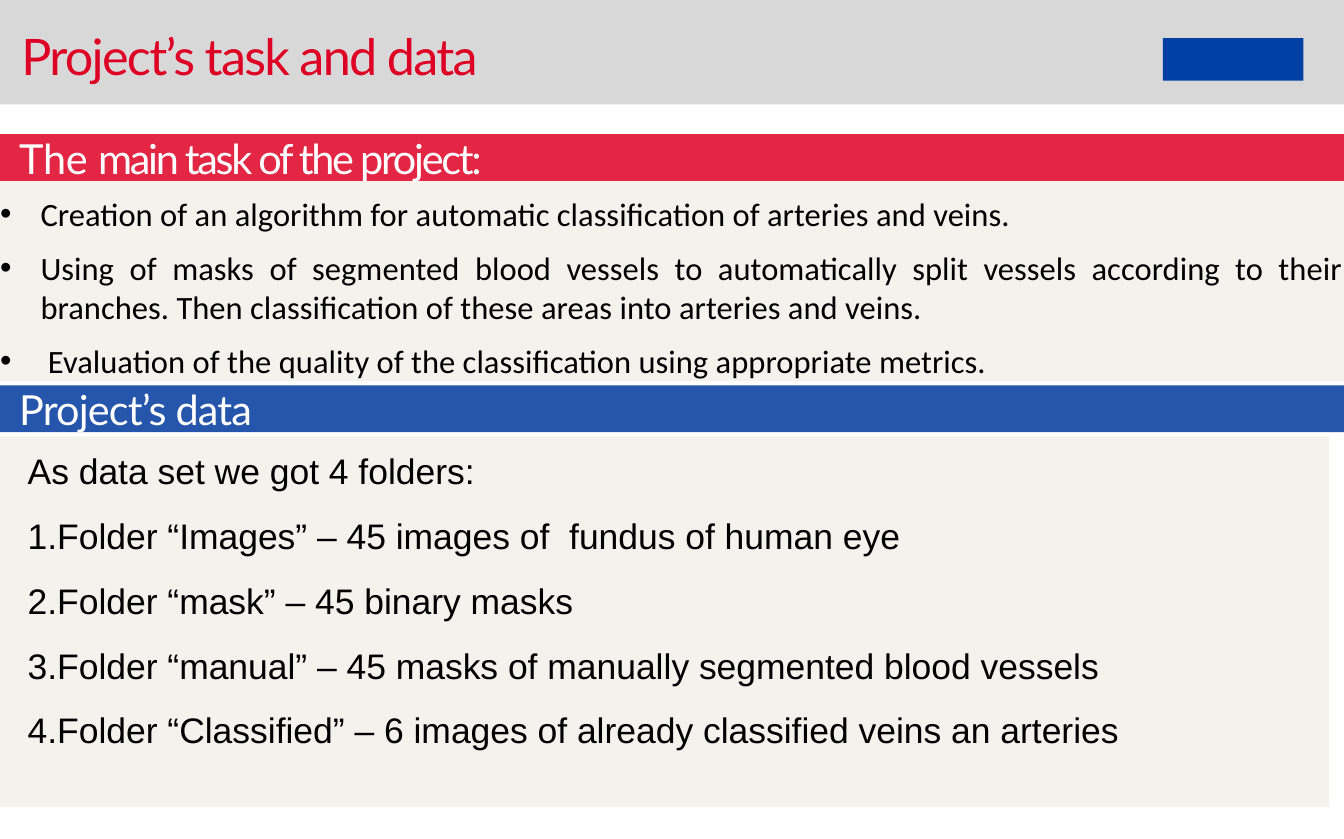
import pptx
import pptx.util
import pptx.dml.color
import pptx.enum.shapes
import pptx.enum.text
import pptx.oxml.ns
import lxml.etree

Inches, Pt = pptx.util.Inches, pptx.util.Pt
RGBColor = pptx.dml.color.RGBColor
ALIGN = pptx.enum.text.PP_ALIGN

GREY = RGBColor(0xD8, 0xD8, 0xD8)
CREAM = RGBColor(0xF4, 0xF2, 0xED)
WHITE = RGBColor(0xFF, 0xFF, 0xFF)
BLACK = RGBColor(0, 0, 0)
TITLE_RED = RGBColor(0xDE, 0x00, 0x24)
BAR_RED = RGBColor(0xE2, 0x26, 0x44)
BAR_BLUE = RGBColor(0x26, 0x56, 0xAC)
LOGO_BLUE = RGBColor(0x00, 0x40, 0xA5)

prs = pptx.Presentation()
prs.slide_width, prs.slide_height = Inches(6.31), Inches(3.94)
W = 6.31
BAR_H = 0.22
s = prs.slides.add_slide(prs.slide_layouts[5])


def add_box(x, y, w, h, fill):
    """Add a plain filled rectangle, placed in inches."""
    sp = s.shapes.add_shape(pptx.enum.shapes.MSO_SHAPE.RECTANGLE,
                            Inches(x), Inches(y), Inches(w), Inches(h))
    sp.shadow.inherit = False
    sp.fill.solid()
    sp.fill.fore_color.rgb = fill
    sp.line.fill.background()
    return sp


def write(sp, paragraphs, font="Lato", size=14, color=WHITE, align=ALIGN.LEFT,
          top=0, indent=0, before=0, spacing=None, bullet=None):
    """Fill a shape with paragraphs, each a list of (text, tracking in points)."""
    tf = sp.text_frame
    tf.word_wrap = True
    tf.auto_size = pptx.enum.text.MSO_AUTO_SIZE.NONE
    tf.vertical_anchor = pptx.enum.text.MSO_ANCHOR.TOP
    tf.margin_left = tf.margin_right = tf.margin_bottom = 0
    tf.margin_top = Inches(top)
    for i, runs in enumerate(paragraphs):
        p = tf.add_paragraph() if i else tf.paragraphs[0]
        p.alignment = align
        p.space_before = Pt(before)
        if spacing:
            p.line_spacing = Pt(spacing)
        pPr = p._p.get_or_add_pPr()
        pPr.set("marL", str(Inches(indent)))
        pPr.set("indent", str(-Inches(indent) if bullet else 0))
        if bullet:
            bu_font = lxml.etree.SubElement(pPr, pptx.oxml.ns.qn("a:buFont"))
            bu_font.set("typeface", "Arial")
            lxml.etree.SubElement(pPr, pptx.oxml.ns.qn("a:buChar")).set("char", bullet)
        for text, tracking in runs:
            r = p.add_run()
            r.text = text
            r.font.name, r.font.size = font, Pt(size)
            r.font.color.rgb = color
            if tracking:
                r._r.get_or_add_rPr().set("spc", str(round(tracking * 100)))


# Header: grey band behind the title, plain block in the logo's place
title = s.shapes.title
title.left, title.top = Inches(0.09), Inches(0.1)
title.width, title.height = Inches(4.06), Inches(0.3)
write(title, [[("Project’s task and data", -0.6)]], size=17, color=TITLE_RED,
      top=0.02, indent=0.01, before=1.2)
band = add_box(0, 0, W, 0.49, GREY)
title.element.addprevious(band.element)
add_box(5.46, 0.18, 0.66, 0.2, LOGO_BLUE)

# Section panels, then the heading bars
task_panel = add_box(0, 0.84, W, 0.95, CREAM)
add_box(0, 2.05, 6.24, 1.74, CREAM)

bars = [
    (0.63, BAR_RED, [("The ", -0.1), ("main task of the project:", -0.8)]),
    (1.81, BAR_BLUE, [("Project’s data", -0.3)]),
]
for y, fill, heading in bars:
    write(add_box(0, y, W, BAR_H, fill), [heading], indent=0.09, spacing=16.5)

tasks = [
    "Creation of an algorithm for automatic classification of arteries and veins. ",
    "Using of masks of segmented blood vessels to automatically split vessels "
    "according to their branches. Then classification of these areas into "
    "arteries and veins.",
    " Evaluation of the quality of the classification using appropriate metrics. ",
]
write(task_panel, [[(t, 0)] for t in tasks], font="Calibri", size=11, color=BLACK,
      align=ALIGN.JUSTIFY, top=0.07, indent=0.19, before=5.1, bullet="•")

folders = [
    "As data set we got 4 folders:",
    "1.Folder “Images” – 45 images of  fundus of human eye",
    "2.Folder “mask” – 45 binary masks",
    "3.Folder “manual” – 45 masks of manually segmented blood vessels",
    "4.Folder “Classified” – 6 images of already classified veins an arteries",
]
data_text = s.shapes.add_textbox(Inches(0.13), Inches(2.01), Inches(W - 0.13), Inches(1.56))
write(data_text, [[(t, 0)] for t in folders], font="Arial", size=12, color=BLACK,
      align=ALIGN.JUSTIFY, top=0.1, before=7.5)

prs.save("out.pptx")
